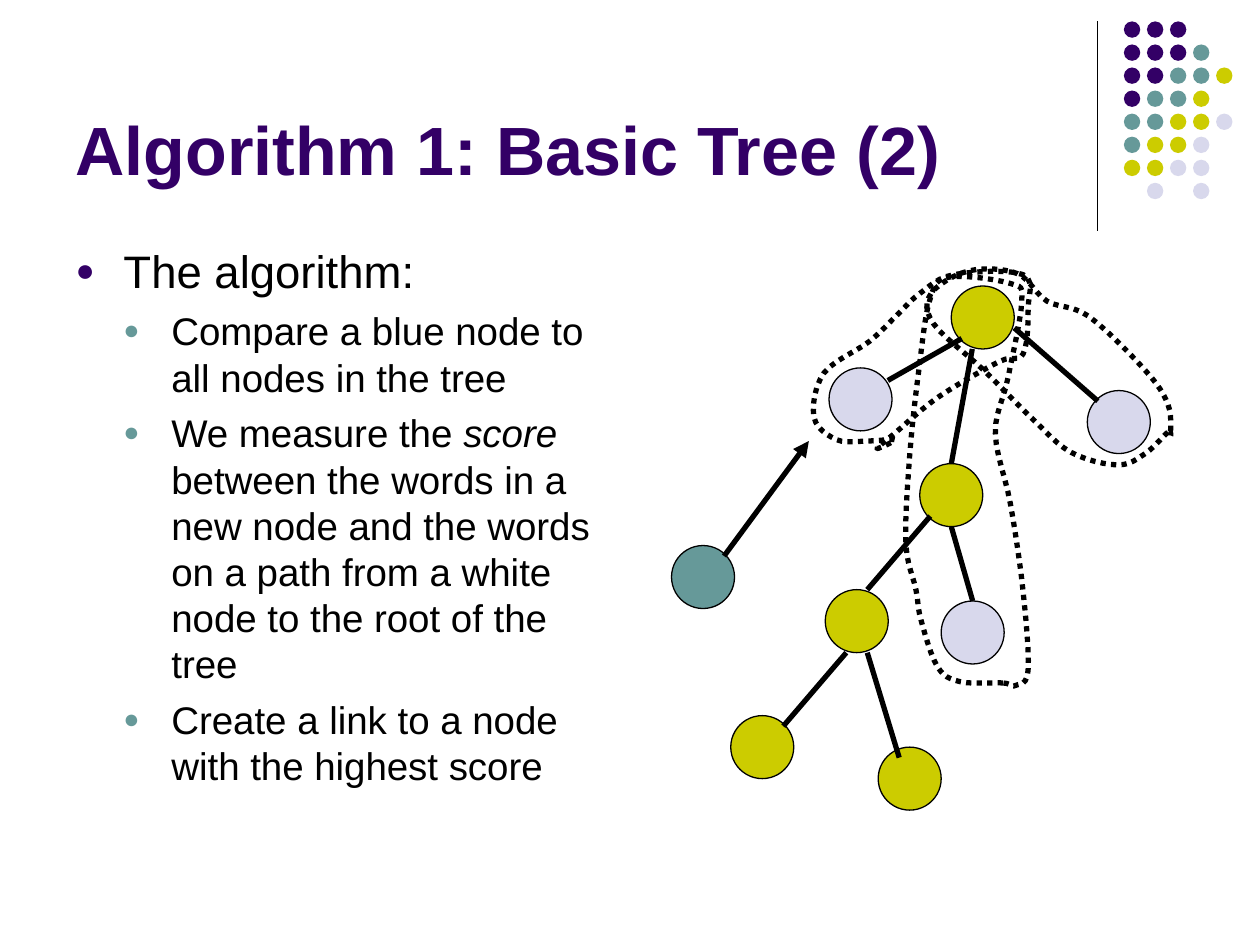
import lxml.etree
import pptx
import pptx.dml.color
import pptx.enum.dml
import pptx.enum.shapes
import pptx.enum.text
import pptx.oxml.ns
import pptx.util

RGB = pptx.dml.color.RGBColor
Inches = pptx.util.Inches
Pt = pptx.util.Pt
qn = pptx.oxml.ns.qn

PURPLE = RGB(0x33, 0x00, 0x66)
TEAL = RGB(0x66, 0x99, 0x99)
OLIVE = RGB(0xCC, 0xCC, 0x00)
LAVENDER = RGB(0xD8, 0xD8, 0xEC)
BLACK = RGB(0x00, 0x00, 0x00)

FONT = "Arial"
DOT = 0.13
DOT_PITCH = 0.183
DOT_COLORS = {"P": PURPLE, "T": TEAL, "O": OLIVE, "L": LAVENDER}
DOT_ROWS = ["PPP", "PPPT", "PPTTO", "PTTO", "TTOOL", "TOOL", "OOLL", " L L"]

NODE = 0.5
STEP = NODE / 6
NODE_CENTERS = {
    "root": (7.8, 2.52, OLIVE),
    "right leaf": (8.88, 3.35, LAVENDER),
    "left leaf": (6.83, 3.17, LAVENDER),
    "middle": (7.55, 3.93, OLIVE),
    "new": (5.58, 4.58, TEAL),
    "lower": (6.8, 4.93, OLIVE),
    "middle leaf": (7.72, 5.02, LAVENDER),
    "lower right": (7.22, 6.18, OLIVE),
    "lower left": (6.05, 5.93, OLIVE),
}
EDGES = [
    ("root", (-2, 2), "left leaf", (2.6, -1.8)),
    ("root", (-1, 3), "middle", (0, -3)),
    ("root", (3, 1), "right leaf", (-2, -2)),
    ("middle", (-2, 2), "lower", (1, -3)),
    ("middle", (0, 3), "middle leaf", (0, -3)),
    ("lower", (-1, 3), "lower left", (2, -2)),
    ("lower", (1, 3), "lower right", (-1, -2)),
]
PATH_KNOTS = {
    "root to middle leaf": [
        (7.96, 5.42), (7.62, 5.41), (7.44, 5.29), (7.31, 4.92), (7.27, 4.68),
        (7.19, 4.31), (7.22, 3.62), (7.29, 2.96), (7.38, 2.38), (7.53, 2.2),
        (8.02, 2.25), (8.11, 2.39), (8, 3), (7.9, 3.44), (8.02, 4),
        (8.12, 4.69), (8.16, 5.32), (8.06, 5.44)],
    "root to right leaf": [
        (9.27, 3.43), (9.09, 3.6), (8.87, 3.69), (8.5, 3.59), (8.19, 3.32),
        (7.81, 2.94), (7.41, 2.57), (7.39, 2.33), (7.69, 2.15), (8.07, 2.17),
        (8.31, 2.39), (8.64, 2.51), (9.09, 2.94), (9.27, 3.21), (9.29, 3.45)],
    "root to left leaf": [
        (7.1, 3.49), (6.9, 3.5), (6.64, 3.49), (6.46, 3.31), (6.54, 2.96),
        (6.9, 2.71), (7.12, 2.5), (7.3, 2.33), (7.57, 2.18), (8.12, 2.18),
        (8.16, 2.45), (8.12, 2.81), (7.93, 2.87), (7.45, 3.15), (7.1, 3.44),
        (6.96, 3.56)],
}
CURVE_STEPS = 6

ITEMS = [
    (0, [("The algorithm:", False)]),
    (1, [("Compare a blue node to all nodes in the tree", False)]),
    (1, [("We measure the ", False), ("score", True),
         (" between the words in a new node and the words on a path"
          " from a white node to the root of the tree", False)]),
    (1, [("Create a link to a node with the highest score", False)]),
]
LEVELS = [(26, 6.5, PURPLE), (22, 5.5, TEAL)]


def node_point(name, offset):
    """Return the point that lies offset steps from a node's centre."""
    x, y, _ = NODE_CENTERS[name]
    return x + offset[0] * STEP, y + offset[1] * STEP


def spline(a, b, c, d, t):
    """Return the Catmull-Rom value between b and c at t."""
    return b + t / 2 * (c - a + t * (2 * a - 5 * b + 4 * c - d
                                     + t * (3 * (b - c) + d - a)))


def smooth_loop(knots):
    """Return the points of a closed smooth curve through the knots."""
    points = []
    for i in range(len(knots)):
        near = [knots[(i + k) % len(knots)] for k in (-1, 0, 1, 2)]
        for step in range(CURVE_STEPS):
            points.append([spline(*axis, step / CURVE_STEPS) for axis in zip(*near)])
    return points


class Slide:
    """Holds the slide and the style its elements share."""

    def __init__(self, prs):
        self.s = prs.slides.add_slide(prs.slide_layouts[1])

    def place(self, sp, left, top, width, height, anchor):
        sp.left, sp.top = Inches(left), Inches(top)
        sp.width, sp.height = Inches(width), Inches(height)
        tf = sp.text_frame
        tf.auto_size = pptx.enum.text.MSO_AUTO_SIZE.NONE
        tf.word_wrap = True
        tf.vertical_anchor = anchor
        return tf

    def run(self, p, text, size, color, bold=False, italic=False):
        r = p.add_run()
        r.text = text
        r.font.name, r.font.size = FONT, Pt(size)
        r.font.bold, r.font.italic = bold, italic
        r.font.color.rgb = color

    def title(self, text):
        tf = self.place(self.s.shapes.title, 0.5, 0.13, 8.25, 1.42,
                        pptx.enum.text.MSO_ANCHOR.BOTTOM)
        p = tf.paragraphs[0]
        p.alignment = pptx.enum.text.PP_ALIGN.LEFT
        self.run(p, text, 39, PURPLE, bold=True)

    def bullet(self, p, level, color):
        pPr = p._p.get_or_add_pPr()
        pPr.set("marL", str(Inches(0.38 * (level + 1))))
        pPr.set("indent", str(Inches(-0.38)))
        buClr = lxml.etree.SubElement(pPr, qn("a:buClr"))
        lxml.etree.SubElement(buClr, qn("a:srgbClr")).set("val", str(color))
        lxml.etree.SubElement(pPr, qn("a:buSzPct")).set("val", "70000")
        lxml.etree.SubElement(pPr, qn("a:buFont")).set("typeface", FONT)
        lxml.etree.SubElement(pPr, qn("a:buChar")).set("char", "●")

    def body(self, items):
        tf = self.place(self.s.placeholders[1], 0.5, 1.88, 4.5, 5.2,
                        pptx.enum.text.MSO_ANCHOR.TOP)
        for i, (level, runs) in enumerate(items):
            p = tf.paragraphs[0] if i == 0 else tf.add_paragraph()
            size, before, color = LEVELS[level]
            p.level, p.space_before = level, Pt(before)
            self.bullet(p, level, color)
            for text, italic in runs:
                self.run(p, text, size, BLACK, italic=italic)

    def circle(self, left, top, size, color, outlined=True):
        sp = self.s.shapes.add_shape(pptx.enum.shapes.MSO_SHAPE.OVAL, Inches(left),
                                     Inches(top), Inches(size), Inches(size))
        sp.shadow.inherit = False
        sp.fill.solid()
        sp.fill.fore_color.rgb = color
        if outlined:
            sp.line.color.rgb, sp.line.width = BLACK, Pt(0.75)
        else:
            sp.line.fill.background()

    def line(self, start, end, width=3, arrow=False):
        sp = self.s.shapes.add_connector(pptx.enum.shapes.MSO_CONNECTOR.STRAIGHT,
                                         *map(Inches, start + end))
        sp.line.color.rgb, sp.line.width = BLACK, Pt(width)
        lxml.etree.SubElement(sp._element.spPr, qn("a:effectLst"))
        if arrow:
            ln = sp.line._get_or_add_ln()
            lxml.etree.SubElement(ln, qn("a:tailEnd")).set("type", "triangle")

    def dotted_loop(self, knots):
        start, *rest = [(Inches(x), Inches(y)) for x, y in smooth_loop(knots)]
        fb = self.s.shapes.build_freeform(*start)
        fb.add_line_segments(rest, close=True)
        sp = fb.convert_to_shape()
        sp.shadow.inherit = False
        sp.fill.background()
        sp.line.color.rgb, sp.line.width = BLACK, Pt(3)
        sp.line.dash_style = pptx.enum.dml.MSO_LINE.ROUND_DOT


def main():
    prs = pptx.Presentation()
    prs.slide_width, prs.slide_height = Inches(10), Inches(7.5)
    slide = Slide(prs)
    slide.line((8.71, 0.17), (8.71, 1.83), width=0.75)
    for row, codes in enumerate(DOT_ROWS):
        for col, code in enumerate(codes):
            if code in DOT_COLORS:
                slide.circle(8.92 + col * DOT_PITCH, 0.17 + row * DOT_PITCH, DOT,
                             DOT_COLORS[code], outlined=False)
    slide.title("Algorithm 1: Basic Tree (2)")
    slide.body(ITEMS)
    for x, y, color in NODE_CENTERS.values():
        slide.circle(x - NODE / 2, y - NODE / 2, NODE, color)
    for parent, leave, child, arrive in EDGES:
        slide.line(node_point(parent, leave), node_point(child, arrive))
    slide.line(node_point("new", (2, -2)), (6.42, 3.5), arrow=True)
    for knots in PATH_KNOTS.values():
        slide.dotted_loop(knots)
    prs.save("out.pptx")


if __name__ == "__main__":
    main()
